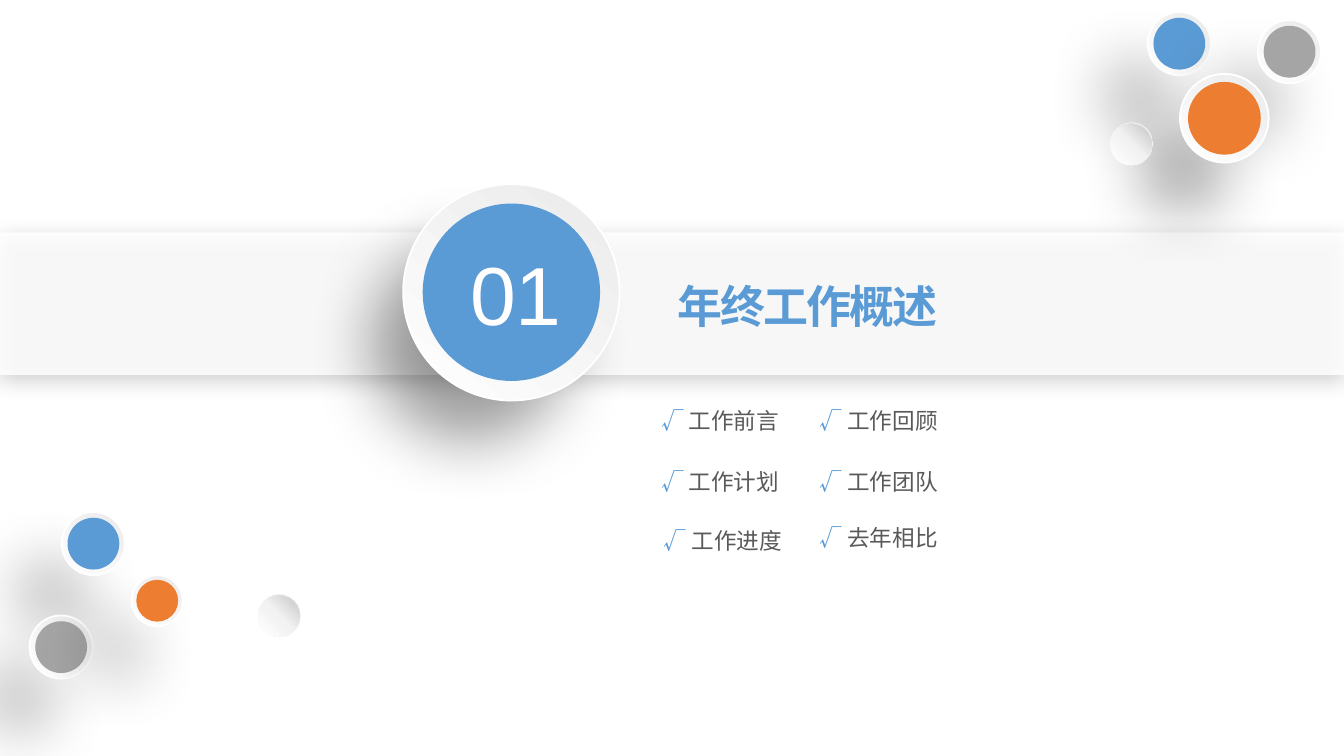
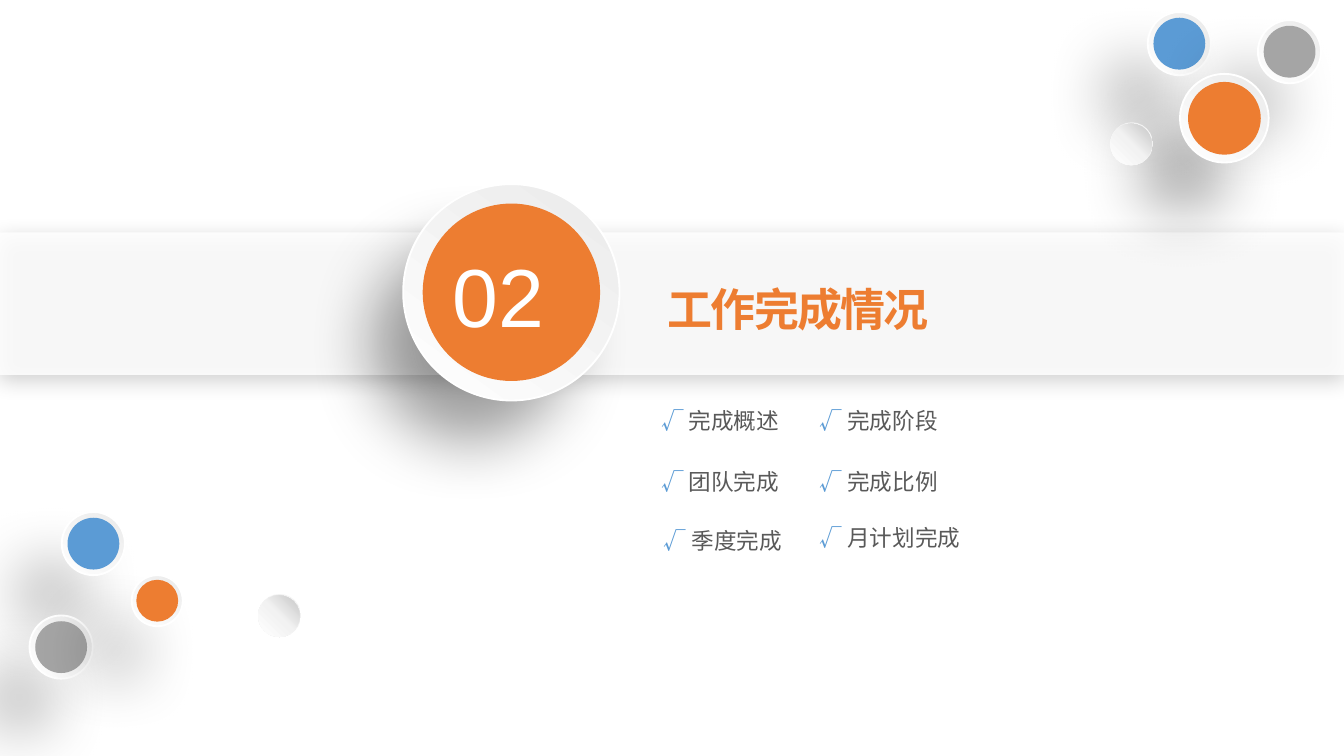
from lxml import etree
from pptx import Presentation
from pptx.dml.color import RGBColor
from pptx.enum.shapes import MSO_SHAPE
from pptx.enum.text import MSO_ANCHOR, MSO_AUTO_SIZE
from pptx.oxml.ns import qn
from pptx.util import Inches, Pt

BLUE, ORANGE, GRAY = "5B9BD5", "ED7D31", "A5A5A5"
WHITE, BODY = "FFFFFF", "595959"
CJK, LATIN = "Noto Sans CJK SC", "Arial"

# Gradient stops as (percent, colour)
RIM = [(0, "EBEBEB"), (100, "FEFEFE")]
PEARL_EDGE = [(0, "F2F2F2"), (55, "F2F2F2"), (100, "D9D9D9")]
PEARL = [(0, "FFFFFF"), (51, "F2F2F2"), (100, "C5C5C5")]

# Shadows as (opacity percent, blur pt, distance pt, direction degrees, scale percent)
BAND_SHADOW = (22, 11, 3, 90, 100)
DISC_SHADOW = (38, 36, 35, 130, 90)

CORE_RATIO = 0.82
BADGE = (3, 1.37, 1.61)
DISCS = [  # left, top, diameter, colour
    (0.46, 3.81, 0.47, BLUE),
    (0.22, 4.58, 0.47, GRAY),
    (0.98, 4.28, 0.38, ORANGE),
    (8.54, 0.09, 0.47, BLUE),
    (9.36, 0.15, 0.47, GRAY),
    (8.78, 0.55, 0.66, ORANGE),
]
PEARLS = [(1.92, 4.42), (8.26, 0.91)]
ITEM_PLACES = [
    (4.82, 2.98), (6, 2.98),
    (4.82, 3.43), (6, 3.43),
    (4.84, 3.87), (6, 3.85),
]

SECTIONS = [
    dict(number="01", number_at=(3.4, 1.76), color=BLUE,
         title="年终工作概述", title_box=(4.94, 2.02, 3.06, 0.51),
         items=["工作前言", "工作回顾", "工作计划", "工作团队", "工作进度", "去年相比"]),
    dict(number="02", number_at=(3.27, 1.77), color=ORANGE,
         title="工作完成情况", title_box=(4.87, 2.04, 2.14, 0.51),
         items=["完成概述", "完成阶段", "团队完成", "完成比例", "季度完成", "月计划完成"]),
]


def add_form(parent, kind, box, fill, angle=0, opacity=100, line=None, shadow=None):
    """Add a preset shape; fill is a hex colour or a list of gradient stops."""
    form = parent.shapes.add_shape(kind, *map(Inches, box))
    properties = form._element.spPr
    if isinstance(fill, str):
        form.fill.solid()
        form.fill.fore_color.rgb = RGBColor.from_string(fill)
        if opacity < 100:
            color = properties.find(qn("a:solidFill"))[0]
            etree.SubElement(color, qn("a:alpha"), val=str(opacity * 1000))
    else:
        form.fill.gradient()
        form.fill.gradient_angle = 360 - angle
        stops = properties.find(qn("a:gradFill")).find(qn("a:gsLst"))
        for old_stop in list(stops):
            stops.remove(old_stop)
        for percent, color in fill:
            stop = etree.SubElement(stops, qn("a:gs"), pos=str(percent * 1000))
            etree.SubElement(stop, qn("a:srgbClr"), val=color)
    if line:
        form.line.color.rgb = RGBColor.from_string(line)
        form.line.width = Pt(1)
    else:
        form.line.fill.background()
    form.shadow.inherit = False
    if shadow:
        strength, blur, distance, direction, scale = shadow
        effects = properties.find(qn("a:effectLst"))
        outer = etree.SubElement(
            effects, qn("a:outerShdw"), blurRad=str(Pt(blur)), dist=str(Pt(distance)),
            dir=str(direction * 60000), sx=str(scale * 1000), sy=str(scale * 1000),
            algn="ctr", rotWithShape="0")
        color = etree.SubElement(outer, qn("a:srgbClr"), val="000000")
        etree.SubElement(color, qn("a:alpha"), val=str(strength * 1000))
    return form


def add_text(slide, box, runs, size, font=CJK, bold=False, spacing=0):
    """Add a one-line text box; runs are (text, colour) pairs."""
    label = slide.shapes.add_textbox(*map(Inches, box))
    frame = label.text_frame
    frame.word_wrap = True
    frame.auto_size = MSO_AUTO_SIZE.SHAPE_TO_FIT_TEXT
    frame.vertical_anchor = MSO_ANCHOR.MIDDLE
    for text, color in runs:
        run = frame.paragraphs[0].add_run()
        run.text = text
        run.font.size = Pt(size)
        run.font.bold = bold
        run.font.color.rgb = RGBColor.from_string(color)
        run.font.name = font
        format_element = run._r.get_or_add_rPr()
        etree.SubElement(format_element, qn("a:ea"), typeface=font)
        if spacing:
            format_element.set("spc", str(spacing * 100))


deck = Presentation()
deck.slide_width = Inches(10)
deck.slide_height = deck.slide_width * 9 // 16

for section in SECTIONS:
    slide = deck.slides.add_slide(deck.slide_layouts[6])
    add_form(slide, MSO_SHAPE.RECTANGLE, (0, 1.73, 10, 1.06), WHITE,
             opacity=84, shadow=BAND_SHADOW)

    for (left, top), item in zip(ITEM_PLACES, section["items"]):
        width = 1.26 if len(item) > 4 else 1.12 if left == 4.82 else 1.08
        add_text(slide, (left, top, width, 0.3), [("√", BLUE), (" " + item, BODY)], 12.1)

    for left, top, size, color in [(*BADGE, section["color"]), *DISCS]:
        disc = slide.shapes.add_group_shape()
        add_form(disc, MSO_SHAPE.OVAL, (left, top, size, size), RIM,
                 angle=126, line=WHITE, shadow=DISC_SHADOW)
        core = size * CORE_RATIO
        inset = (size - core) / 2
        add_form(disc, MSO_SHAPE.OVAL, (left + inset, top + inset, core, core), color)

    add_text(slide, (*section["number_at"], 1.07, 0.84), [(section["number"], WHITE)],
             44.1, font=LATIN)
    add_text(slide, section["title_box"], [(section["title"], section["color"])],
             24.1, bold=True, spacing=-1)

    for left, top in PEARLS:
        pearl = slide.shapes.add_group_shape()
        edge = add_form(pearl, MSO_SHAPE.DONUT, (left, top, 0.32, 0.32), PEARL_EDGE, angle=135)
        edge.adjustments[0] = 0.05
        add_form(pearl, MSO_SHAPE.OVAL, (left, top + 0.01, 0.31, 0.31), PEARL, angle=315)

deck.save("out.pptx")
